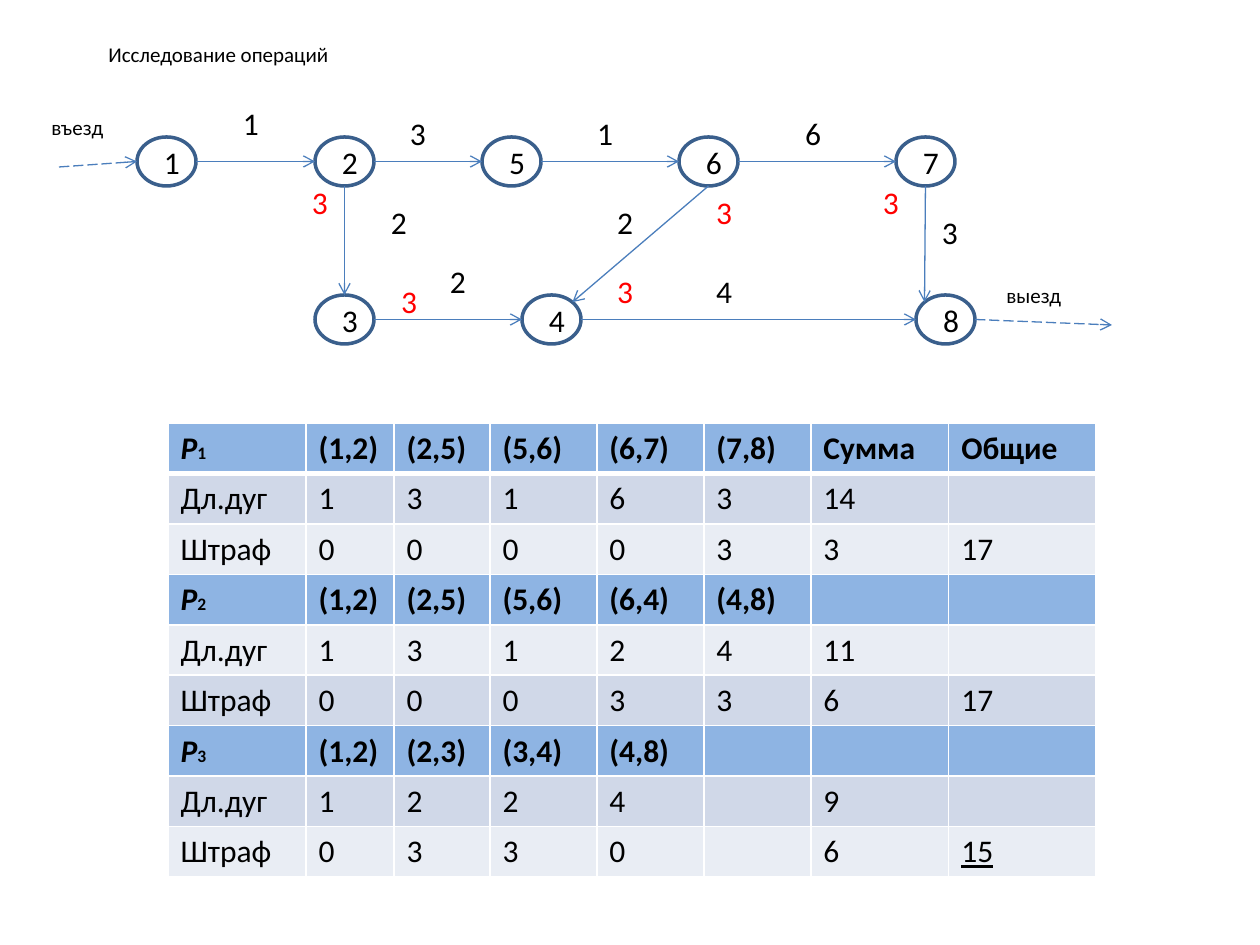
from lxml.etree import SubElement
from pptx import Presentation
from pptx.dml.color import RGBColor
from pptx.enum.dml import MSO_LINE_DASH_STYLE as DASH
from pptx.enum.shapes import MSO_CONNECTOR as CONN, MSO_SHAPE as SHAPE
from pptx.enum.text import MSO_ANCHOR as ANCHOR, PP_ALIGN as ALIGN
from pptx.oxml.ns import qn
from pptx.util import Pt

BLACK, RED, WHITE = "000000", "FF0000", "FFFFFF"
OUTLINE, ARROW = "3A5F8C", "4B7EBC"
HEAD, BANDS = "8EB4E3", ("E9EDF4", "D0D8E8")
NODE_W, NODE_H, DIGIT_W, DIGIT_H, ROW_H = 59, 49, 20, 50, 50

TITLE = ("Исследование операций", 59, 29, 319, 50)
CAPTIONS = [("въезд", 39, 108, 98, 38), ("выезд", 994, 276, 98, 38)]
NODES = {
    "1": (137, 137), "2": (315, 137), "5": (482, 137), "6": (679, 137),
    "7": (896, 137), "3": (315, 295), "4": (522, 295), "8": (916, 295),
}
EDGES = [
    ("1", "right", "2", "left"), ("2", "right", "5", "left"),
    ("5", "right", "6", "left"), ("6", "right", "7", "left"),
    ("2", "bottom", "3", "top"), ("3", "right", "4", "left"),
    ("4", "right", "8", "left"), ("7", "bottom", "8", "top_left"),
    ("6", "bottom", "4", "top_right"),
]
ENTRY, EXIT = (59, 167), (1112, 325)
LENGTHS = [
    ("1", 236, 98), ("3", 403, 108), ("1", 590, 108), ("6", 798, 108),
    ("2", 384, 197), ("2", 610, 197), ("2", 443, 256), ("4", 709, 266),
    ("3", 935, 207),
]
PENALTIES = [
    ("3", 305, 177), ("3", 394, 276), ("3", 709, 187), ("3", 876, 177),
    ("3", 610, 266),
]
TABLE_AT = (168, 423)
COLS = [138, 88, 96, 107, 107, 107, 138, 147]
ROWS = [
    ["P1", "(1,2)", "(2,5)", "(5,6)", "(6,7)", "(7,8)", "Сумма", "Общие"],
    ["Дл.дуг", "1", "3", "1", "6", "3", "14", ""],
    ["Штраф", "0", "0", "0", "0", "3", "3", "17"],
    ["P2", "(1,2)", "(2,5)", "(5,6)", "(6,4)", "(4,8)", "", ""],
    ["Дл.дуг", "1", "3", "1", "2", "4", "11", ""],
    ["Штраф", "0", "0", "0", "3", "3", "6", "17"],
    ["P3", "(1,2)", "(2,3)", "(3,4)", "(4,8)", "", "", ""],
    ["Дл.дуг", "1", "2", "2", "4", "", "9", ""],
    ["Штраф", "0", "3", "3", "0", "", "6", "15"],
]
BEST = "15"
SITES = {
    "left": (-1, 0), "right": (1, 0), "top": (0, -1), "bottom": (0, 1),
    "top_left": (-0.71, -0.71), "top_right": (0.71, -0.71),
}


def px(n):
    return round(n * 914400 / 126)


def rgb(color):
    return RGBColor.from_string(color)


def add_run(p, text, color=BLACK, **fmt):
    r = p.add_run()
    r.text = text
    r.font.color.rgb = rgb(color)
    for key, value in {"name": "Calibri", "size": Pt(18), **fmt}.items():
        setattr(r.font, key, value)


def add_text(s, text, x, y, w, h, color=BLACK, size=18, **frame):
    tf = s.shapes.add_textbox(px(x), px(y), px(w), px(h)).text_frame
    for key, value in {"word_wrap": True, **frame}.items():
        setattr(tf, key, value)
    add_run(tf.paragraphs[0], text, color, size=Pt(size))
    return tf


def add_digit(s, text, x, y, color=BLACK):
    add_text(s, text, x, y, DIGIT_W, DIGIT_H, color,
             margin_left=px(7), margin_right=0)


def site(node, side):
    (x, y), (dx, dy) = NODES[node], SITES[side]
    return x + NODE_W / 2 * (1 + dx), y + NODE_H / 2 * (1 + dy)


def add_arrow(s, start, end, dash=None):
    c = s.shapes.add_connector(CONN.STRAIGHT, *map(px, (*start, *end)))
    c.line.color.rgb = rgb(ARROW)
    c.line.width = Pt(0.75)
    if dash:
        c.line.dash_style = dash
    SubElement(c.line._get_or_add_ln(), qn("a:tailEnd"), type="arrow")
    SubElement(c._element.spPr, qn("a:effectLst"))


def add_node(s, x, y):
    sp = s.shapes.add_shape(SHAPE.OVAL, px(x), px(y), px(NODE_W), px(NODE_H))
    sp.shadow.inherit = False
    sp.fill.background()
    sp.line.color.rgb = rgb(OUTLINE)
    sp.line.width = Pt(2)


def add_borders(cell, widths):
    tc_pr = cell._tc.get_or_add_tcPr()
    for side, width in zip("LRTB", widths):
        ln = SubElement(tc_pr, qn("a:ln" + side), w=str(Pt(width)))
        fill = SubElement(ln, qn("a:solidFill"))
        SubElement(fill, qn("a:srgbClr"), val=WHITE)


def add_paths_table(s):
    shape = s.shapes.add_table(len(ROWS), len(COLS), *map(
        px, (*TABLE_AT, sum(COLS), ROW_H * len(ROWS))))
    table = shape.table
    for col, width in zip(table.columns, COLS):
        col.width = px(width)
    for i, row in enumerate(ROWS):
        table.rows[i].height = px(ROW_H)
        head = i % 3 == 0
        for j, text in enumerate(row):
            cell = table.cell(i, j)
            add_borders(cell, (1, 1, 3 if i == 1 else 1, 3 if i == 0 else 1))
            cell.fill.solid()
            cell.fill.fore_color.rgb = rgb(HEAD if head else BANDS[i % 2])
            p = cell.text_frame.paragraphs[0]
            if head and j == 0:
                add_run(p, text[0], bold=True, italic=True)
                add_run(p, text[1:], bold=True, size=Pt(10))
            elif text:
                add_run(p, text, bold=head, underline=text == BEST)


def main():
    prs = Presentation()
    prs.slide_width, prs.slide_height = px(1260), px(945)
    s = prs.slides.add_slide(prs.slide_layouts[6])
    tf = add_text(s, *TITLE, size=12, vertical_anchor=ANCHOR.MIDDLE)
    tf.paragraphs[0].alignment = ALIGN.CENTER
    for caption in CAPTIONS:
        add_text(s, *caption, size=12)
    for x, y in NODES.values():
        add_node(s, x, y)
    for a, side_a, b, side_b in EDGES:
        add_arrow(s, site(a, side_a), site(b, side_b))
    add_arrow(s, ENTRY, site("1", "left"), DASH.LONG_DASH)
    add_arrow(s, site("8", "right"), EXIT, DASH.LONG_DASH)
    for name, (x, y) in NODES.items():
        add_digit(s, name, x + 20, y)
    for labels, color in ((LENGTHS, BLACK), (PENALTIES, RED)):
        for label in labels:
            add_digit(s, *label, color)
    add_paths_table(s)
    prs.save("out.pptx")


if __name__ == "__main__":
    main()
